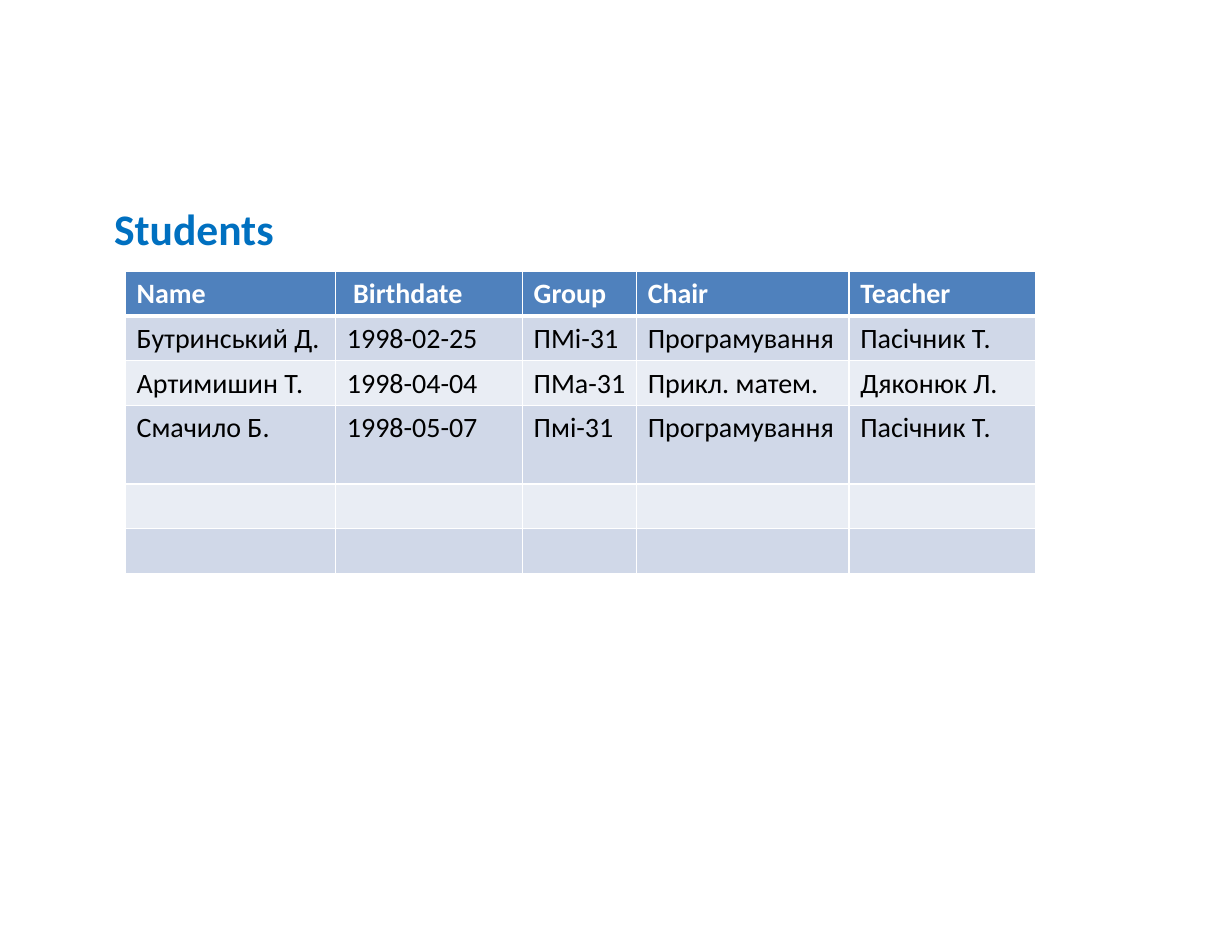
import pptx
import pptx.dml.color
import pptx.enum.text
import pptx.oxml
import pptx.oxml.ns
import pptx.util
from dataclasses import dataclass

Inches = pptx.util.Inches


@dataclass(frozen=True)
class Theme:
    """Hold the colours, font and type sizes of the slide."""
    font: str = "Calibri"
    heading_size: int = 28
    cell_size: int = 18
    heading: str = "0070C0"
    header_fill: str = "4F81BD"
    bands: tuple = ("D0D8E8", "E9EDF4")
    light: str = "FFFFFF"
    dark: str = "000000"


THEME = Theme()
COLUMN_WIDTHS = (1.88, 1.67, 1.02, 1.9, 1.67)
ROW_HEIGHTS = (0.4, 0.4, 0.4, 0.7, 0.4, 0.4)
STUDENTS = (
    ("Name", " Birthdate", "Group", "Chair", "Teacher"),
    ("Бутринський Д.", "1998-02-25", "ПМі-31", "Програмування", "Пасічник Т."),
    ("Артимишин Т.", "1998-04-04", "ПМа-31", "Прикл. матем.", "Дяконюк Л."),
    ("Смачило Б.", "1998-05-07", "Пмі-31", "Програмування", "Пасічник Т."),
    ("",) * 5,
    ("",) * 5,
)


def rgb(value):
    """Turn a hex string into a colour."""
    return pptx.dml.color.RGBColor.from_string(value)


def write(frame, text, size, colour, bold):
    """Put one formatted run of text in a frame."""
    paragraph = frame.paragraphs[0]
    target = paragraph.add_run() if text else paragraph
    if text:
        target.text = text
    values = {"name": THEME.font, "size": pptx.util.Pt(size), "bold": bold}
    for key, value in values.items():
        setattr(target.font, key, value)
    target.font.color.rgb = rgb(colour)


def set_borders(cell, widths):
    """Draw the light borders of a cell, given widths in points by side."""
    properties = cell._tc.get_or_add_tcPr()
    for index, side in enumerate("LRTB"):
        properties.insert(index, pptx.oxml.parse_xml(
            f'<a:ln{side} {pptx.oxml.ns.nsdecls("a")} w="{pptx.util.Pt(widths[side])}">'
            f'<a:solidFill><a:srgbClr val="{THEME.light}"/></a:solidFill></a:ln{side}>'))


def add_heading(slide, left, top, width, height):
    """Place the heading in its box."""
    frame = slide.shapes.add_textbox(*map(Inches, (left, top, width, height))).text_frame
    frame.word_wrap = False
    frame.auto_size = pptx.enum.text.MSO_AUTO_SIZE.SHAPE_TO_FIT_TEXT
    write(frame, "Students", THEME.heading_size, THEME.heading, True)


def add_students(slide, left, top, width, height):
    """Place the student table, sharing the box among columns and rows."""
    table = slide.shapes.add_table(
        len(STUDENTS), len(COLUMN_WIDTHS), *map(Inches, (left, top, width, height))).table
    table.horz_banding = False
    for column, share in zip(table.columns, COLUMN_WIDTHS):
        column.width = Inches(width * share / sum(COLUMN_WIDTHS))
    for row, share in zip(table.rows, ROW_HEIGHTS):
        row.height = Inches(height * share / sum(ROW_HEIGHTS))
    for row_index, student in enumerate(STUDENTS):
        header = row_index == 0
        fill = THEME.header_fill if header else THEME.bands[(row_index - 1) % 2]
        borders = {"L": 1, "R": 1, "T": 3 if row_index == 1 else 1, "B": 3 if header else 1}
        for column_index, text in enumerate(student):
            cell = table.cell(row_index, column_index)
            cell.fill.solid()
            cell.fill.fore_color.rgb = rgb(fill)
            set_borders(cell, borders)
            write(cell.text_frame, text, THEME.cell_size,
                  THEME.light if header else THEME.dark, header)


def main():
    """Build and save the slide."""
    deck = pptx.Presentation()
    deck.slide_width, deck.slide_height = Inches(11), Inches(8.5)
    slide = deck.slides.add_slide(deck.slide_layouts[6])
    add_heading(slide, 0.92, 1.75, 1.64, 0.57)
    add_students(slide, 1.12, 2.42, 8.13, 2.7)
    deck.save("out.pptx")


main()
